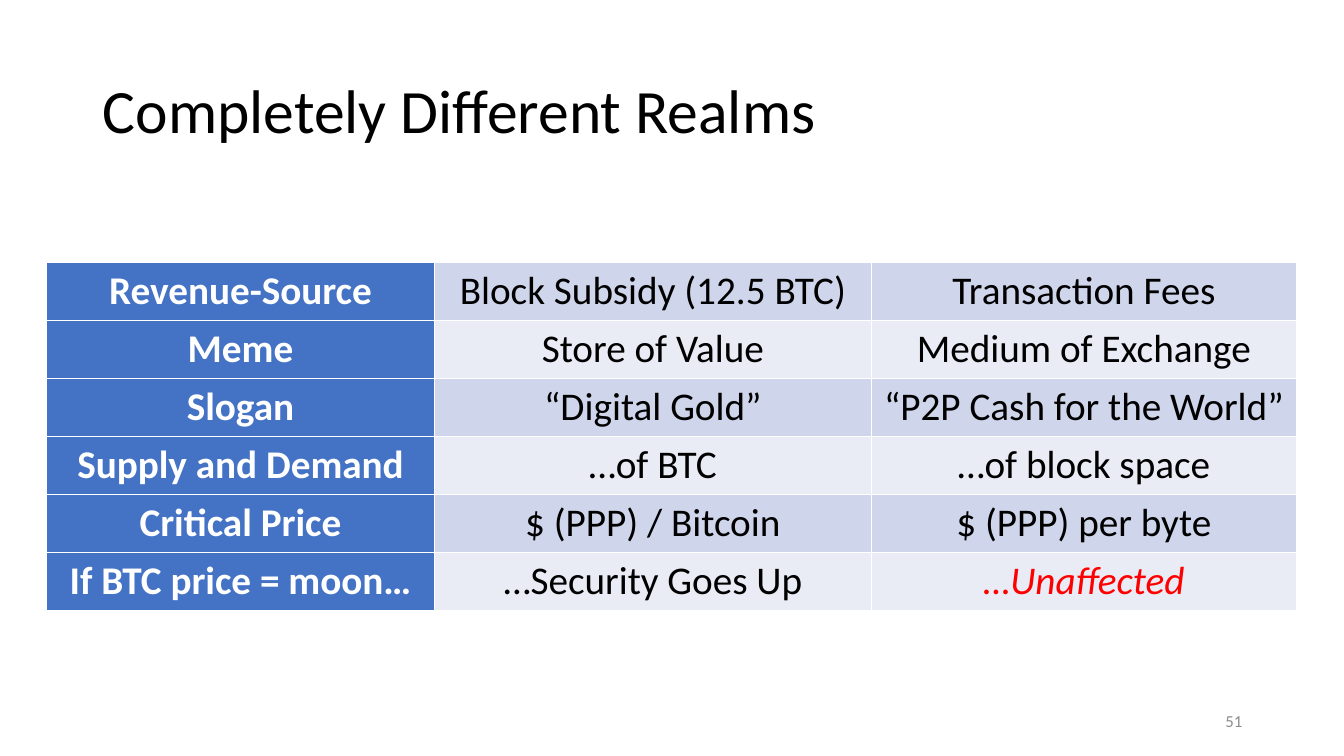
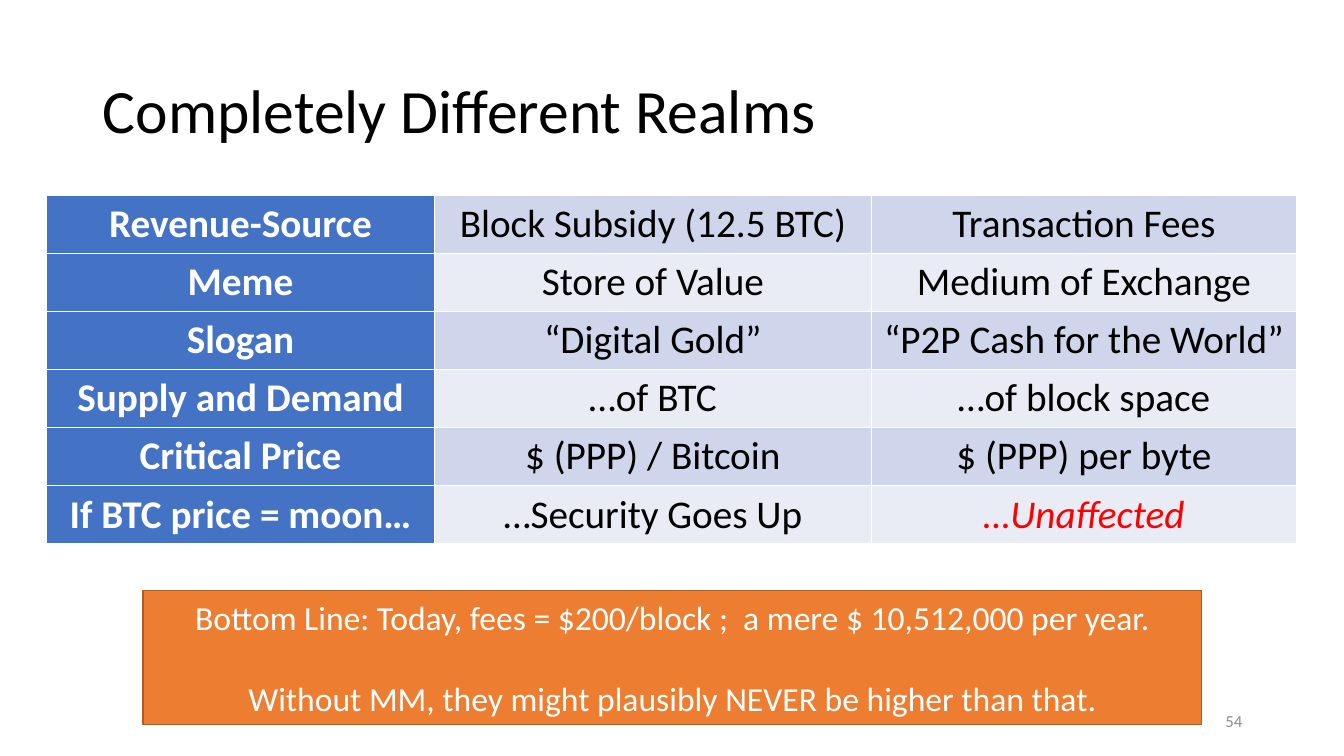
from dataclasses import dataclass

from lxml.etree import SubElement
from pptx import Presentation
from pptx.dml.color import RGBColor
from pptx.enum.shapes import MSO_SHAPE
from pptx.enum.text import MSO_ANCHOR, PP_ALIGN
from pptx.oxml.ns import qn
from pptx.util import Inches, Pt


@dataclass(frozen=True)
class Theme:
    font: str = "Calibri"
    black: str = "000000"
    white: str = "FFFFFF"
    red: str = "FF0000"
    grey: str = "8C8C8C"
    blue: str = "4472C4"
    bands: tuple = ("CFD5EA", "E9EBF5")
    orange: str = "ED7D31"
    orange_edge: str = "AF5C24"
    title_size: int = 44
    table_size: int = 28
    callout_size: int = 24
    number_size: int = 12


T = Theme()

TITLE = "Completely Different Realms"
COL_WIDTHS = (3.85, 4.33, 4.22)
ROW_HEIGHT = 0.57
ROWS = (
    ("Revenue-Source", "Block Subsidy (12.5 BTC)", "Transaction Fees"),
    ("Meme", "Store of Value", "Medium of Exchange"),
    ("Slogan", "“Digital Gold”", "“P2P Cash for the World”"),
    ("Supply and Demand", "…of BTC", "…of block space"),
    ("Critical Price", "$ (PPP) / Bitcoin", "$ (PPP) per byte"),
    ("If BTC price = moon…", "…Security Goes Up", "…Unaffected"),
)
HIGHLIGHT = "…Unaffected"
BOTTOM_LINE = (
    "Bottom Line: Today, fees = $200/block ;  a mere $ 10,512,000 per year.",
    "Without MM, they might plausibly NEVER be higher than that.",
)
# slide number, top of the table, callout paragraphs
SLIDES = ((51, 2.6, ()), (54, 1.94, BOTTOM_LINE))


def add_run(p, text, size, color, align, bold=False, italic=False):
    p.alignment = align
    r = p.add_run()
    r.text = text
    r.font.name = T.font
    r.font.size = Pt(size)
    r.font.bold = bold
    r.font.italic = italic
    r.font.color.rgb = RGBColor.from_string(color)


def style_cell(cell, fill):
    """Give a cell thin white borders, then its fill (the order the schema asks for)."""
    tc_pr = cell._tc.get_or_add_tcPr()
    for side in ("a:lnL", "a:lnR", "a:lnT", "a:lnB"):
        ln = SubElement(tc_pr, qn(side), w=str(Pt(1)))
        SubElement(SubElement(ln, qn("a:solidFill")), qn("a:srgbClr"), val=T.white)
    cell.fill.solid()
    cell.fill.fore_color.rgb = RGBColor.from_string(fill)


prs = Presentation()
prs.slide_width = Inches(13.33)
prs.slide_height = Inches(7.5)

for number, table_top, callout in SLIDES:
    s = prs.slides.add_slide(prs.slide_layouts[5])

    title = s.shapes.title
    title.left, title.top = Inches(0.92), Inches(0.4)
    title.width, title.height = Inches(11.5), Inches(1.45)
    title.text_frame.vertical_anchor = MSO_ANCHOR.MIDDLE
    p = title.text_frame.paragraphs[0]
    p.line_spacing = 0.9
    add_run(p, TITLE, T.title_size, T.black, PP_ALIGN.LEFT)

    table = s.shapes.add_table(
        len(ROWS), len(COL_WIDTHS), Inches(0.46), Inches(table_top),
        Inches(sum(COL_WIDTHS)), Inches(ROW_HEIGHT * len(ROWS))).table
    table.first_row = False
    table.first_col = True
    for column, width in zip(table.columns, COL_WIDTHS):
        column.width = Inches(width)
    for i, row in enumerate(ROWS):
        for j, text in enumerate(row):
            cell = table.cell(i, j)
            head = j == 0
            marked = text == HIGHLIGHT
            style_cell(cell, T.blue if head else T.bands[i % 2])
            color = T.white if head else T.red if marked else T.black
            add_run(cell.text_frame.paragraphs[0], text, T.table_size, color,
                    PP_ALIGN.CENTER, bold=head, italic=marked)

    if callout:
        sp = s.shapes.add_shape(MSO_SHAPE.RECTANGLE, Inches(1.42), Inches(5.86),
                                Inches(10.5), Inches(1.33))
        sp.shadow.inherit = False
        sp.fill.solid()
        sp.fill.fore_color.rgb = RGBColor.from_string(T.orange)
        sp.line.color.rgb = RGBColor.from_string(T.orange_edge)
        sp.line.width = Pt(1)
        tf = sp.text_frame
        tf.word_wrap = True
        tf.vertical_anchor = MSO_ANCHOR.MIDDLE
        for i, text in enumerate(callout):
            p = tf.add_paragraph() if i else tf.paragraphs[0]
            p.space_before = Pt(29 if i else 0)
            add_run(p, text, T.callout_size, T.white, PP_ALIGN.CENTER)

    tf = s.shapes.add_textbox(Inches(9.42), Inches(6.95), Inches(3), Inches(0.4)).text_frame
    tf.word_wrap = True
    tf.vertical_anchor = MSO_ANCHOR.MIDDLE
    add_run(tf.paragraphs[0], str(number), T.number_size, T.grey, PP_ALIGN.RIGHT)

prs.save("out.pptx")
